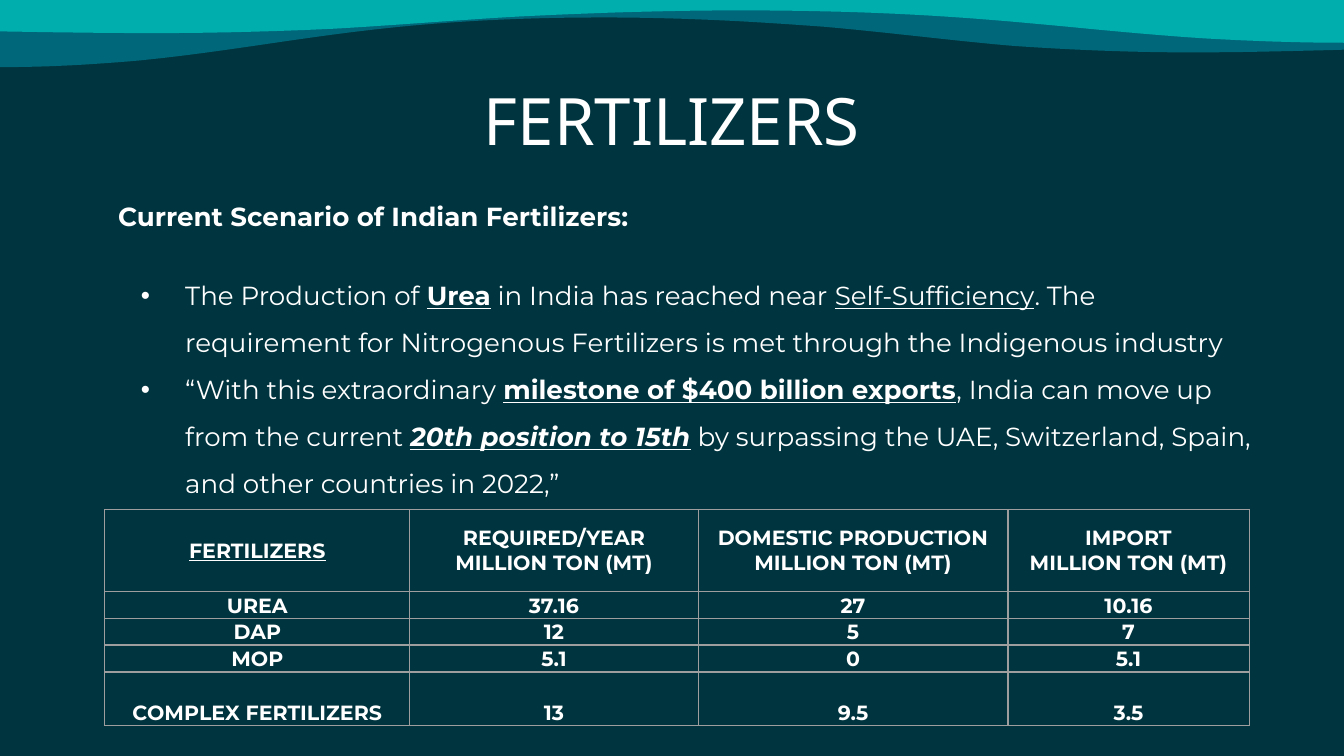
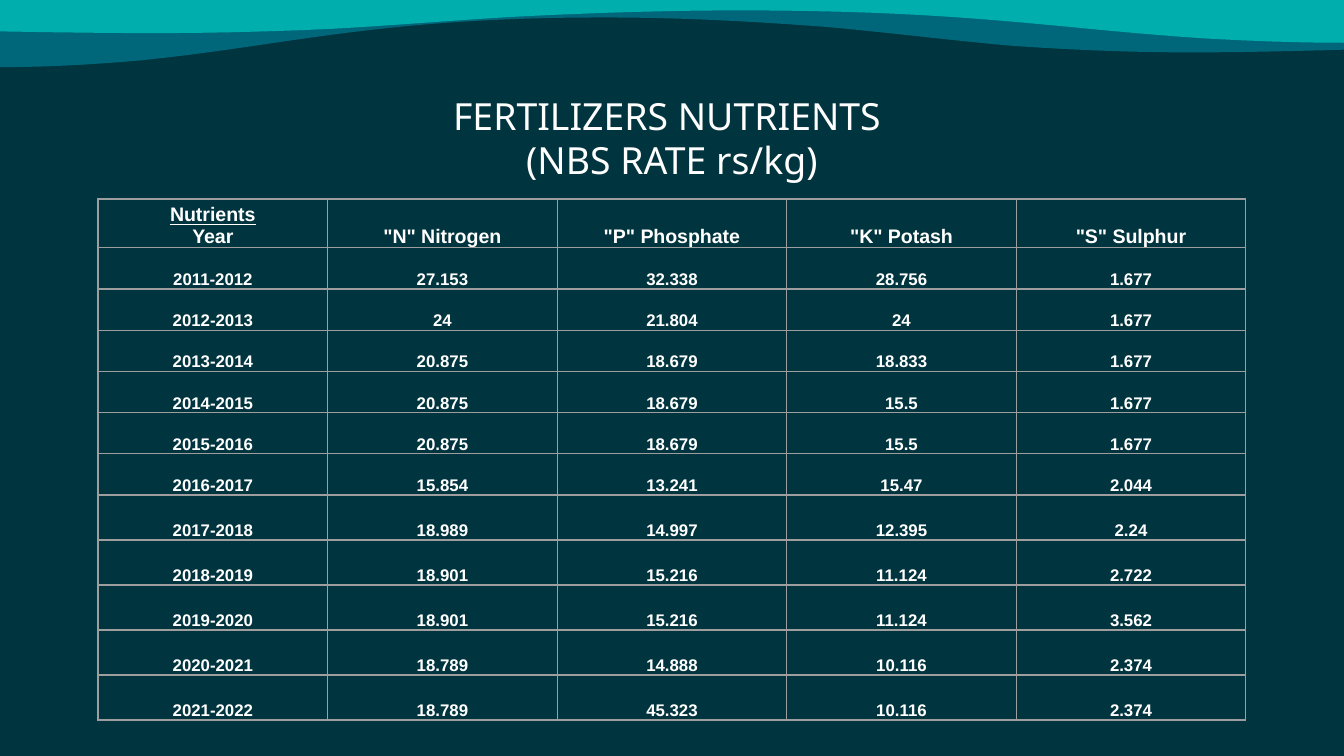
from dataclasses import dataclass

import lxml.etree
import pptx
import pptx.dml.color
import pptx.enum.text
import pptx.oxml.ns
import pptx.util

# Grid: 100 columns across and 56.25 rows down, square cells
COLS, ROWS = 100, 56.25
CELL = pptx.util.Inches(0.1)

BACK, DEEP, TEAL = "00343E", "00677B", "00AFAD"
WHITE, RULE = "FFFFFF", "9E9E9E"
HEAD, BODY, DATA = "Noto Sans", "Montserrat", "Arial"

ALIGN = pptx.enum.text.PP_ALIGN
ANCHOR = pptx.enum.text.MSO_ANCHOR

Run = tuple[str, str]  # text and its style letters: b, i, u
Line = str | list[Run]


@dataclass
class Wave:
    color: str
    depth: float  # share of the deepest wave
    flip: bool


@dataclass
class Grid:
    left: float
    top: float
    cols: list[float]
    rows: list[float]
    font: str
    head: float  # text size of the first row
    size: float
    middle: bool  # first row anchored in the middle
    cells: list[list[Line | list[str]]]


# Lower edge of the band: a start point, then cubic curves
EDGE = [
    (0, 5),
    (3.5, 5), (7, 4.8), (10.4, 4.5),
    (17.4, 3.8), (22.6, 2.7), (29.7, 2),
    (34.7, 1.5), (39.8, 1.3), (44.9, 1.3),
    (50.7, 1.3), (56.1, 1.6), (61.4, 2),
    (66, 2.4), (70.6, 3), (75.2, 3.4),
    (79.4, 3.7), (84, 3.9), (88.6, 3.9),
    (92.4, 3.9), (96.2, 3.8), (100, 3.7),
]
LIP = -0.2  # the band starts just above the slide
WAVES = [Wave(DEEP, 1, False), Wave(TEAL, 0.65, True)]

SUPPLY = Grid(
    7.8, 37.9, [22.7, 21.45, 23.05, 17.95], [6.1, 2, 2, 2, 4],
    BODY, 11, 11, True,
    [
        [[("FERTILIZERS", "bu")], "REQUIRED/YEAR\nMILLION TON (MT)",
         "DOMESTIC PRODUCTION\nMILLION TON (MT)",
         ["IMPORT", "MILLION TON (MT)"]],
        ["UREA", "37.16", "27", "10.16"],
        ["DAP", "12", "5", "7"],
        ["MOP", "5.1", "0", "5.1"],
        ["COMPLEX FERTILIZERS", "13", "9.5", "3.5"],
    ],
)

RATES = Grid(
    7.3, 14.8, [17.08] * 5, [3.64] + [3.07] * 6 + [3.35] * 5,
    DATA, 10.5, 9, False,
    [
        [[("Nutrients\n", "bu"), ("Year", "b")], '"N" Nitrogen',
         '"P" Phosphate', '"K" Potash', '"S" Sulphur'],
        ["2011-2012", "27.153", "32.338", "28.756", "1.677"],
        ["2012-2013", "24", "21.804", "24", "1.677"],
        ["2013-2014", "20.875", "18.679", "18.833", "1.677"],
        ["2014-2015", "20.875", "18.679", "15.5", "1.677"],
        ["2015-2016", "20.875", "18.679", "15.5", "1.677"],
        ["2016-2017", "15.854", "13.241", "15.47", "2.044"],
        ["2017-2018", "18.989", "14.997", "12.395", "2.24"],
        ["2018-2019", "18.901", "15.216", "11.124", "2.722"],
        ["2019-2020", "18.901", "15.216", "11.124", "3.562"],
        ["2020-2021", "18.789", "14.888", "10.116", "2.374"],
        ["2021-2022", "18.789", "45.323", "10.116", "2.374"],
    ],
)

POINTS: list[Line] = [
    [("The Production of ", ""), ("Urea", "bu"),
     (" in India has reached near ", ""), ("Self-Sufficiency", "u"),
     (". The requirement for Nitrogenous Fertilizers is met through "
      "the Indigenous industry", "")],
    [("“With this extraordinary ", ""),
     ("milestone of $400 billion exports", "bu"),
     (", India can move up from the current ", ""),
     ("20th position to 15th", "biu"),
     (" by surpassing the UAE, Switzerland, Spain, "
      "and other countries in 2022,”", "")],
]


# Helpers
def span(cells: float) -> pptx.util.Emu:
    return pptx.util.Emu(round(cells * CELL))


def color(code: str) -> pptx.dml.color.RGBColor:
    return pptx.dml.color.RGBColor.from_string(code)


def paint(fill, code: str) -> None:
    fill.solid()
    fill.fore_color.rgb = color(code)


def node(parent, tag: str, **attrs: str):
    item = lxml.etree.SubElement(parent, pptx.oxml.ns.qn(tag))
    for key, val in attrs.items():
        item.set(key, val)
    return item


def write(para, text: Line, *, font: str, size: float, style: str = "",
          align=ALIGN.LEFT) -> None:
    """Fill a paragraph with runs; plain text takes the given style."""
    para.alignment = align
    runs = [(text, style)] if isinstance(text, str) else text
    for words, marks in runs:
        for num, part in enumerate(words.split("\n")):
            if num:
                para.add_line_break()
            if not part:
                continue
            run = para.add_run()
            run.text = part
            face = run.font
            face.name, face.size = font, pptx.util.Pt(size)
            face.color.rgb = color(WHITE)
            face.bold, face.italic = "b" in marks, "i" in marks
            face.underline = "u" in marks


def bullet(para) -> None:
    para.line_spacing = 1.5
    props = para._p.get_or_add_pPr()
    props.set("marL", str(span(5)))
    props.set("indent", str(-span(3.3)))
    node(node(props, "a:buClr"), "a:srgbClr", val=WHITE)
    node(props, "a:buFont", typeface=DATA)
    node(props, "a:buChar", char="•")


def border(cell) -> None:
    cell.fill.background()
    props = cell._tc.get_or_add_tcPr()
    for num, side in enumerate(("a:lnL", "a:lnR", "a:lnT", "a:lnB")):
        line = node(props, side, w=str(pptx.util.Pt(0.75)))
        node(node(line, "a:solidFill"), "a:srgbClr", val=RULE)
        props.insert(num, line)


# Shared parts
def curve(steps: int = 12) -> list[tuple[float, float]]:
    """Sample the cubic curves of the band's lower edge."""
    dots = [EDGE[0]]
    for num in range(0, len(EDGE) - 1, 3):
        a, b, c, d = EDGE[num:num + 4]
        for step in range(1, steps + 1):
            t = step / steps
            s = 1 - t
            dots.append(tuple(
                s**3 * a[k] + 3 * s * s * t * b[k]
                + 3 * s * t * t * c[k] + t**3 * d[k] for k in (0, 1)))
    return dots


def draw_wave(slide, wave: Wave) -> None:
    dots = [(COLS - x if wave.flip else x, LIP + (y - LIP) * wave.depth)
            for x, y in curve()]
    ends = [(dots[-1][0], LIP), (dots[0][0], LIP)]
    first, *rest = [(span(x), span(y)) for x, y in dots + ends]
    pen = slide.shapes.build_freeform(*first)
    pen.add_line_segments(rest, close=True)
    shape = pen.convert_to_shape()
    shape.shadow.inherit = False
    paint(shape.fill, wave.color)
    shape.line.fill.background()


def add_page(deck, title: str, top: float, size: float):
    slide = deck.slides.add_slide(deck.slide_layouts[5])
    for wave in WAVES:
        draw_wave(slide, wave)
    head = slide.shapes.title
    head.element.getparent().append(head.element)
    head.left, head.top = span(7.8), span(top)
    head.width, head.height = span(84.4), span(6.7)
    set_frame(head.text_frame)
    write(head.text_frame.paragraphs[0], title, font=HEAD, size=size,
          align=ALIGN.CENTER)
    return slide


def set_frame(frame) -> None:
    frame.word_wrap = True
    frame.auto_size = pptx.enum.text.MSO_AUTO_SIZE.NONE
    frame.vertical_anchor = ANCHOR.TOP
    frame.margin_left = frame.margin_right = span(1)
    frame.margin_top = frame.margin_bottom = span(1)


def draw_grid(slide, grid: Grid) -> None:
    table = slide.shapes.add_table(
        len(grid.rows), len(grid.cols), span(grid.left), span(grid.top),
        span(sum(grid.cols)), span(sum(grid.rows))).table
    table.first_row = table.horz_banding = False
    for col, wide in zip(table.columns, grid.cols):
        col.width = span(wide)
    for num, (row, high) in enumerate(zip(table.rows, grid.rows)):
        row.height = span(high)
        for cell, text in zip(row.cells, grid.cells[num]):
            top = num == 0
            cell.margin_left = cell.margin_right = span(0.1)
            cell.margin_top, cell.margin_bottom = span(0.1), 0
            cell.vertical_anchor = (
                ANCHOR.MIDDLE if top and grid.middle else ANCHOR.BOTTOM)
            border(cell)
            # A list of plain strings is one paragraph each
            split = isinstance(text, list) and isinstance(text[0], str)
            for pos, line in enumerate(text if split else [text]):
                frame = cell.text_frame
                para = frame.add_paragraph() if pos else frame.paragraphs[0]
                write(para, line, font=grid.font, style="b",
                      size=grid.head if top else grid.size,
                      align=ALIGN.CENTER)


# Slides
def add_scene(deck) -> None:
    slide = add_page(deck, "FERTILIZERS", 4.93, 35)
    frame = slide.shapes.add_textbox(
        span(7.8), span(13.93), span(86.8), span(34.9)).text_frame
    set_frame(frame)
    lead = frame.paragraphs[0]
    write(lead, "Current Scenario of Indian Fertilizers:", font=BODY,
          size=14, style="b")
    lead.space_after = pptx.util.Pt(17)
    for point in POINTS:
        para = frame.add_paragraph()
        write(para, point, font=BODY, size=14)
        bullet(para)
    draw_grid(slide, SUPPLY)


def add_rates(deck) -> None:
    slide = add_page(
        deck, "FERTILIZERS NUTRIENTS \n(NBS RATE rs/kg)", 5.9, 20)
    draw_grid(slide, RATES)


def main() -> None:
    deck = pptx.Presentation()
    deck.slide_width, deck.slide_height = span(COLS), span(ROWS)
    paint(deck.slide_master.background.fill, BACK)
    add_scene(deck)
    add_rates(deck)
    deck.save("out.pptx")


if __name__ == "__main__":
    main()
